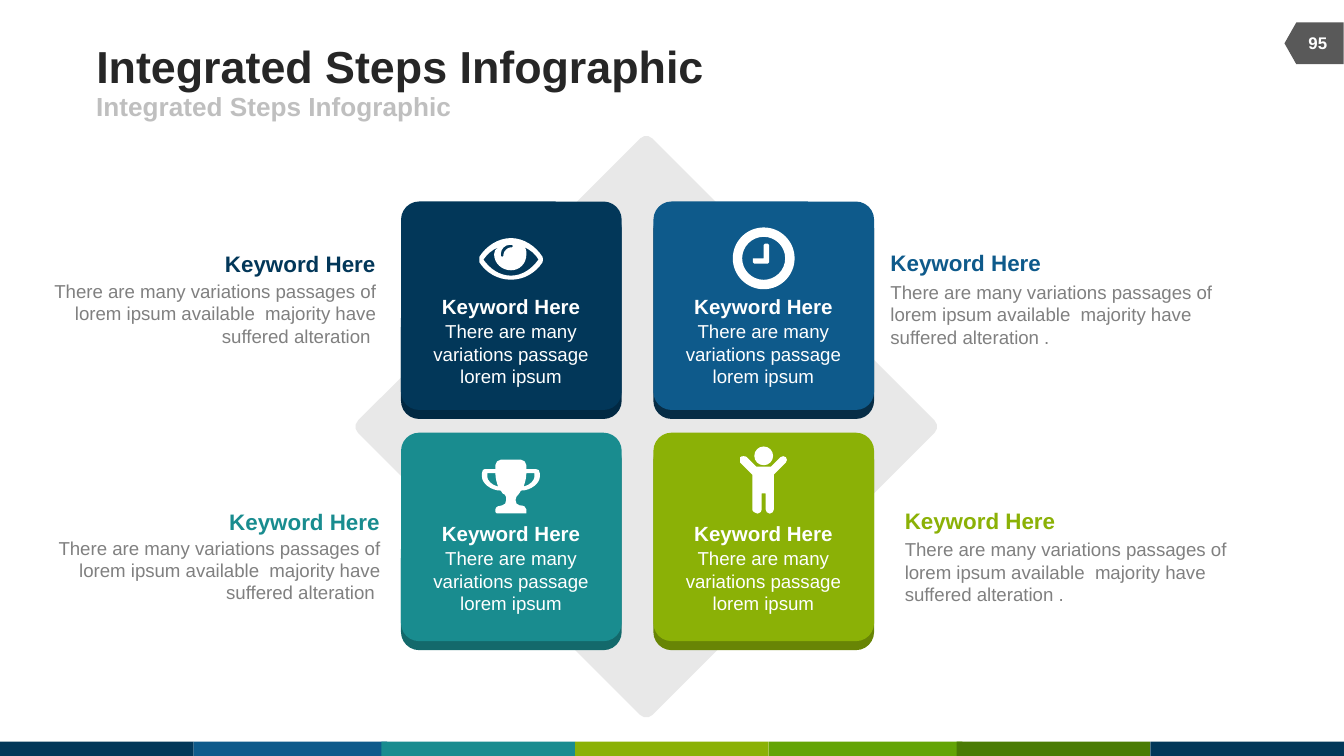
from dataclasses import dataclass

from lxml.etree import SubElement
from pptx import Presentation
from pptx.dml.color import RGBColor
from pptx.enum.shapes import MSO_SHAPE as Kind
from pptx.enum.text import MSO_ANCHOR as Anchor, MSO_AUTO_SIZE as Fit, PP_ALIGN as Align
from pptx.oxml.ns import qn
from pptx.util import Cm, Pt


@dataclass(frozen=True)
class Theme:
    font: str = "Arial"
    navy: str = "023759"
    blue: str = "0E5A8B"
    teal: str = "198C8F"
    lime: str = "8BB106"
    green: str = "63A406"
    moss: str = "4A7B04"
    white: str = "FFFFFF"
    ink: str = "262626"
    pale: str = "BFBFBF"
    gray: str = "808080"
    tag: str = "595959"
    back: str = "E8E8E8"
    title: int = 24
    sub: int = 14
    head: int = 12
    label: int = 11
    body: int = 10
    page: int = 9


T = Theme()
UNIT = Cm(0.0254)  # icon grid step
KEY = "Keyword Here"
CARD = "There are many variations passage lorem ipsum"
NOTE = "There are many variations passages of lorem ipsum available  majority have suffered alteration "


def place(box):
    return [Cm(n) for n in box]


def paint(shape, color):
    shape.shadow.inherit = False
    shape.fill.solid()
    shape.fill.fore_color.rgb = RGBColor.from_string(color)
    shape.line.fill.background()


def block(slide, kind, box, color, turn=0, round_by=None):
    shape = slide.shapes.add_shape(kind, *place(box))
    paint(shape, color)
    shape.rotation = turn
    if round_by is not None:
        shape.adjustments[0] = round_by


def write(shape, words, size=T.body, color=T.gray, bold=False,
          align=Align.LEFT, anchor=Anchor.TOP, wrap=True):
    frame = shape.text_frame
    frame.margin_left = frame.margin_right = frame.margin_top = frame.margin_bottom = 0
    frame.auto_size = Fit.NONE
    frame.word_wrap = wrap
    frame.vertical_anchor = anchor
    para = frame.paragraphs[0]
    para.alignment = align
    run = para.add_run()
    run.text = words
    run.font.name = T.font
    run.font.size = Pt(size)
    run.font.bold = bold
    run.font.color.rgb = RGBColor.from_string(color)


def label(slide, words, box, **style):
    write(slide.shapes.add_textbox(*place(box)), words, **style)


def ring(x, y, r):
    k = 0.55 * r
    return [(x, y + r), (x - k, y + r, x - r, y + k, x - r, y),
            (x - r, y - k, x - k, y - r, x, y - r),
            (x + k, y - r, x + r, y - k, x + r, y),
            (x + r, y + k, x + k, y + r, x, y + r)]


def icon(slide, left, top, paths):
    """Draw paths of line steps (x, y) and cubic steps (six numbers)."""
    scaled = [[[round(n * UNIT) for n in step] for step in path] for path in paths]
    pen = slide.shapes.build_freeform(*scaled[0][0], scale=1.0)
    for i, path in enumerate(scaled):
        if i:
            pen.move_to(*path[0])
        pen.add_line_segments([step[-2:] for step in path[1:]], close=True)
    shape = pen.convert_to_shape(Cm(left), Cm(top))
    paint(shape, T.white)
    lines = list(shape.element.iter(qn("a:lnTo")))
    for line, step in zip(lines, (step for path in scaled for step in path[1:])):
        if len(step) == 6:
            line.tag = qn("a:cubicBezTo")
            line.remove(line[0])
            for x, y in zip(step[::2], step[1::2]):
                SubElement(line, qn("a:pt"), x=str(x), y=str(y))


def eye():
    rim = [(47, 18), (42, 26, 33, 31, 23.5, 31), (14, 31, 5, 26, 0, 18),
           (0, 17, 0, 15, 0, 14), (5, 6, 14, 0, 23.5, 0),
           (33, 0, 42, 6, 47, 14), (47.5, 15, 47.5, 17, 47, 18)]
    gap = [(34, 7), (35, 8, 35, 10, 35, 12), (35, 19, 30, 24, 23.5, 24),
           (17, 24, 11, 19, 11, 12), (11, 10, 12, 8, 14, 7), (9, 9, 6, 12, 3, 16),
           (8, 23, 15, 28, 23.5, 28), (32, 28, 39, 23, 44, 16), (42, 12, 38, 9, 34, 7)]
    glint = [(23, 5), (19, 5, 16, 8, 16, 12), (16, 13, 16, 14, 17, 14),
             (18, 14, 18, 13, 18, 12), (18, 10, 21, 7, 23, 7),
             (24, 7, 25, 7, 25, 6), (25, 5, 24, 5, 23, 5)]
    return [rim, gap, glint]


def clock():
    hands = [(27, 26), (27, 26, 26, 27, 26, 27), (16, 27), (16, 27, 15, 26, 15, 26),
             (15, 23), (15, 23, 16, 23, 16, 23), (23, 23), (23, 13),
             (23, 12, 24, 12, 24, 12), (26, 12), (26, 12, 27, 12, 27, 13)]
    return [ring(23, 23, 23), ring(23, 23, 16), hands]


def cup():
    body = [(43, 13), (43, 17, 37, 23, 29, 23), (28, 25, 27, 26, 27, 26),
            (26, 27, 25, 28, 25, 30), (25, 32, 26, 34, 28, 34), (31, 34, 33, 35, 33, 37),
            (33, 39), (33, 40, 33, 40, 33, 40), (11, 40), (10, 40, 10, 40, 10, 39),
            (10, 37), (10, 35, 13, 34, 15, 34), (17, 34, 18, 32, 18, 30),
            (18, 28, 18, 27, 17, 26), (16, 26, 15, 25, 14, 23), (6, 23, 0, 17, 0, 13),
            (0, 10), (0, 8, 1, 7, 2, 7), (10, 7), (10, 4), (10, 2, 12, 0, 14, 0),
            (29, 0), (31, 0, 33, 2, 33, 4), (33, 7), (40, 7), (42, 7, 43, 8, 43, 10)]
    grip = [(10, 10), (4, 10), (4, 13), (4, 15, 7, 19, 12, 20), (11, 17, 10, 14, 10, 10)]
    mirror = [[43 - n if i % 2 == 0 else n for i, n in enumerate(step)] for step in grip]
    return [body, grip, mirror]


def person():
    body = [(25, 21), (25, 47), (25, 48, 24, 50, 22, 50), (20, 50, 19, 48, 19, 47),
            (19, 35), (16, 35), (16, 47), (16, 48, 15, 50, 13, 50), (11, 50, 9, 48, 9, 47),
            (9, 21), (0, 12), (0, 11, 0, 9, 0, 8), (1, 7, 4, 7, 5, 8), (12, 15), (23, 15),
            (30, 8), (31, 7, 33, 7, 34, 8), (35, 9, 35, 11, 34, 12)]
    return [body, ring(17.5, 7, 7)]


def card(slide, left, top, color, shade, base):
    for drop, fill in ((0.17, shade), (0, color)):
        block(slide, Kind.ROUNDED_RECTANGLE, (left, top + drop, 4.17, 3.94), fill,
              round_by=0.087)
    style = dict(color=T.white, align=Align.CENTER)
    label(slide, CARD, (left + 0.41, base + 0.49, 3.33, 1.27), **style)
    label(slide, KEY, (left + 0.76, base, 2.64, 0.48), size=T.label, bold=True,
          wrap=False, **style)


def note(slide, left, top, base, color, words, align):
    shift = 3.45 if align == Align.RIGHT else 0
    label(slide, words, (left, base, 6.32, 1.27), align=align)
    label(slide, KEY, (left + shift, top, 2.87, 0.51), size=T.head, color=color,
          bold=True, align=align, wrap=False)


def header(slide):
    title = slide.shapes.title
    title.left, title.top, title.width, title.height = place((1.82, 0.74, 15.67, 0.99))
    style = dict(bold=True, anchor=Anchor.MIDDLE, wrap=False)
    words = "Integrated Steps Infographic"
    write(title, words, size=T.title, color=T.ink, **style)
    label(slide, words, (1.82, 1.73, 11.43, 0.56), size=T.sub, color=T.pale, **style)
    block(slide, Kind.FLOWCHART_OFFPAGE_CONNECTOR, (24.44, 0.26, 0.79, 1.12), T.tag, turn=90)
    label(slide, "95", (24.37, 0.43, 1.07, 0.76), size=T.page, color=T.white,
          align=Align.CENTER, **style)


def footer(slide):
    colors = (T.navy, T.blue, T.teal, T.lime, T.green, T.moss, T.navy)
    lefts = (0, 3.66, 7.21, 10.87, 14.53, 18.08, 21.74)
    for left, color in zip(lefts, colors):
        block(slide, Kind.RECTANGLE, (left, 14.02, 3.66, 0.27), color)


def main():
    deck = Presentation()
    deck.slide_width, deck.slide_height = Cm(25.4), Cm(14.29)
    slide = deck.slides.add_slide(deck.slide_layouts[5])
    footer(slide)
    header(slide)
    block(slide, Kind.ROUNDED_RECTANGLE, (8.28, 4.13, 7.87, 7.87), T.back,
          turn=315, round_by=0.021)

    west, east, north, south = 7.58, 12.35, 3.81, 8.18
    card(slide, west, north, T.navy, "012943", 5.56)
    card(slide, east, north, T.blue, "072D46", 5.56)
    card(slide, east, south, T.lime, "688505", 9.85)
    card(slide, west, south, T.teal, "13696B", 9.85)

    note(slide, 16.83, 4.71, 5.31, T.blue, NOTE + ".", Align.LEFT)
    note(slide, 0.78, 4.72, 5.29, T.navy, NOTE, Align.RIGHT)
    note(slide, 0.86, 9.6, 10.14, T.teal, NOTE, Align.RIGHT)
    note(slide, 17.1, 9.58, 10.17, T.lime, NOTE + ".", Align.LEFT)

    icon(slide, 13.85, 4.3, clock())
    icon(slide, 9.06, 4.5, eye())
    icon(slide, 13.99, 8.44, person())
    icon(slide, 9.11, 8.69, cup())
    deck.save("out.pptx")


if __name__ == "__main__":
    main()
